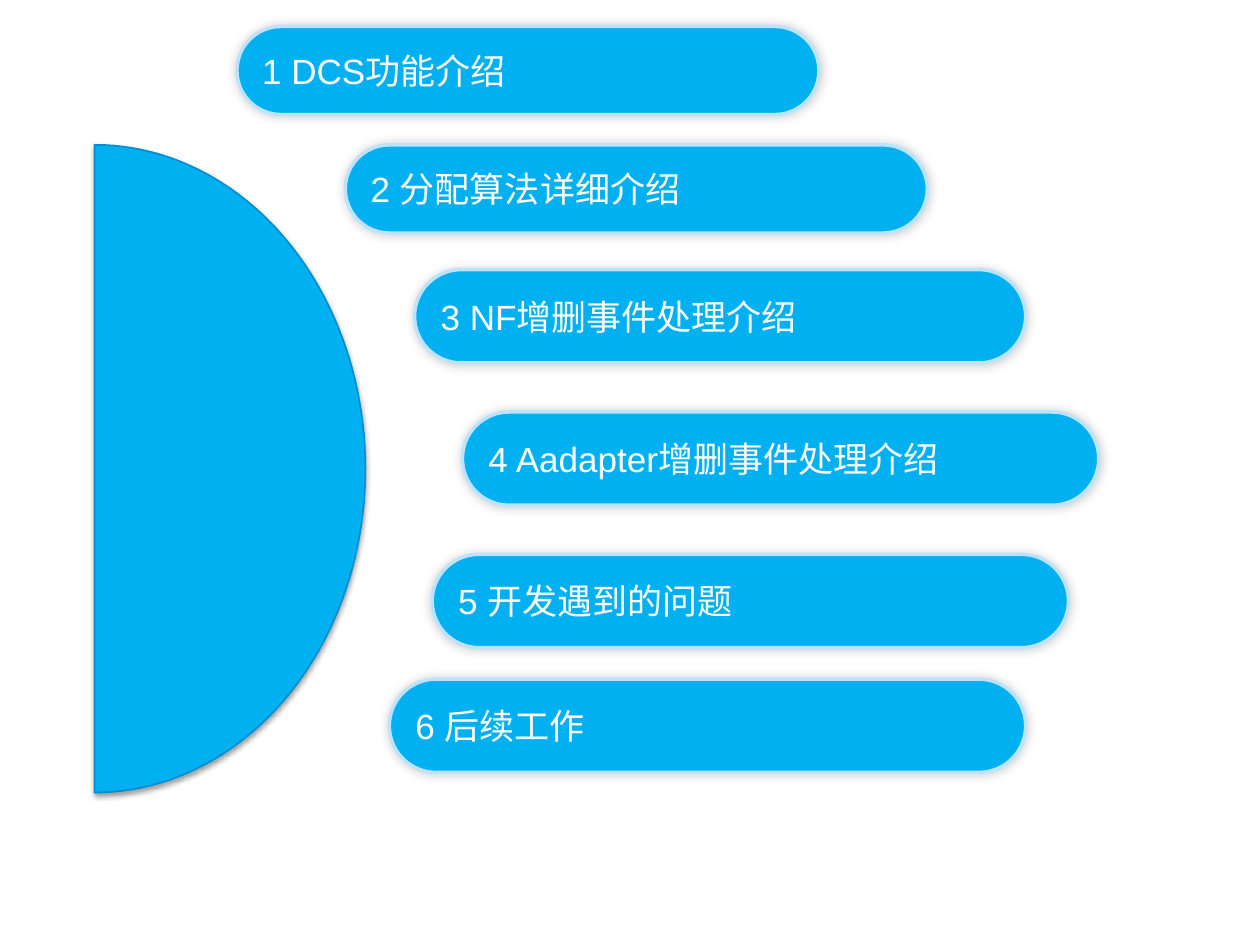
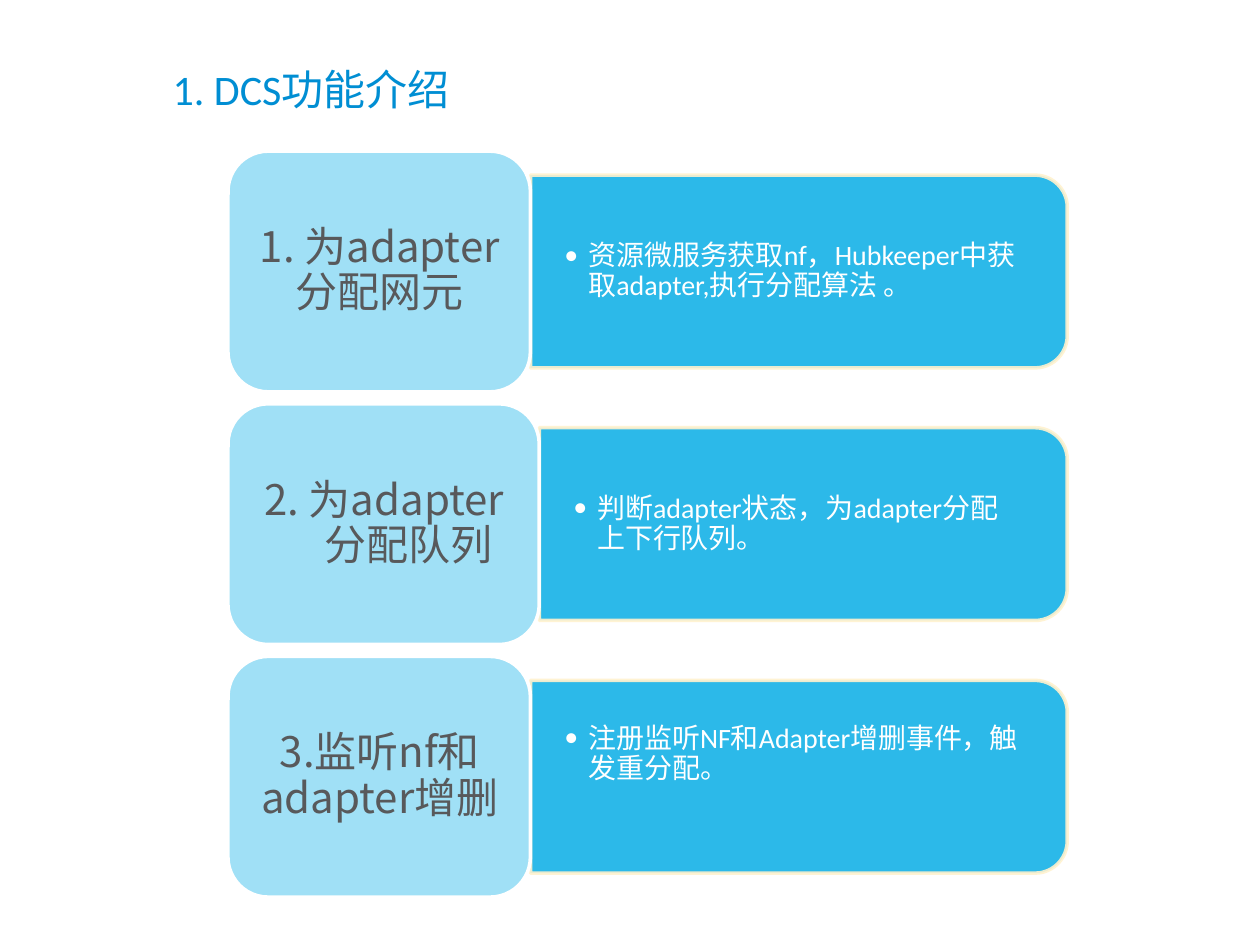
import math

import lxml.etree
import pptx
import pptx.dml.color
import pptx.enum.shapes
import pptx.enum.text
import pptx.oxml.ns
import pptx.util

SKY, PALE_EDGE, DEEP = "00B0F0", "BDE3FF", "008ED3"
PANEL, CREAM, TILE = "16B2E7", "FFF2CF", "A0E0F6"
WHITE, GREY = "FFFFFF", "58595B"
CJK_FONT = "Noto Sans CJK SC"

colour = pptx.dml.color.RGBColor.from_string
qualified = pptx.oxml.ns.qn
presets = pptx.enum.shapes.MSO_SHAPE
aligns = pptx.enum.text.PP_ALIGN
anchors = pptx.enum.text.MSO_ANCHOR


def decorate(shape, fill, edge, width, opacity=100, shadow=None):
    shape.fill.solid()
    shape.fill.fore_color.rgb = colour(fill)
    shape.line.color.rgb = colour(edge)
    shape.line.width = pptx.util.Pt(width)
    shape.shadow.inherit = False
    properties = shape._element.spPr
    if opacity < 100:
        for tint in properties.iter(qualified("a:srgbClr")):
            lxml.etree.SubElement(tint, qualified("a:alpha"), val=str(opacity * 1000))
    if shadow:
        strength, blur, distance, angle = shadow
        outer = lxml.etree.SubElement(
            properties.find(qualified("a:effectLst")), qualified("a:outerShdw"),
            blurRad=str(pptx.util.Pt(blur)), dist=str(pptx.util.Pt(distance)),
            dir=str(angle * 60000), algn="ctr", rotWithShape="0")
        tint = lxml.etree.SubElement(outer, qualified("a:srgbClr"), val="000000")
        lxml.etree.SubElement(tint, qualified("a:alpha"), val=str(strength * 1000))


def write(box, lines, ink, font_format, para_format, frame_format):
    frame = box.text_frame
    for name, value in frame_format.items():
        setattr(frame, name, value)
    for index, line in enumerate(lines):
        para = frame.paragraphs[0] if index == 0 else frame.add_paragraph()
        for name, value in para_format.items():
            setattr(para, name, value)
        span = para.add_run()
        span.text = line
        for name, value in font_format.items():
            setattr(span.font, name, value)
        span.font.color.rgb = colour(ink)
        lxml.etree.SubElement(span._r.get_or_add_rPr(), qualified("a:ea"), typeface=CJK_FONT)


deck = pptx.Presentation()
deck.slide_width = pptx.util.Inches(10)
deck.slide_height = pptx.util.Inches(7.5)
cell = deck.slide_width / 100

agenda_page, function_page = [deck.slides.add_slide(deck.slide_layouts[6]) for _ in range(2)]

agenda = [
    ("1 DCS功能介绍", 18.8, 2.1, 46.2, 7),
    ("2 分配算法详细介绍", 27.4, 11.5, 46.2, 7),
    ("3 NF增删事件处理介绍", 32.9, 21.4, 48.5, 7.4),
    ("4 Aadapter增删事件处理介绍", 36.7, 32.7, 50.5, 7.4),
    ("5 开发遇到的问题", 34.3, 44, 50.5, 7.4),
    ("6 后续工作", 30.9, 53.9, 50.5, 7.4),
]
agenda_font = {"name": "Arial", "size": pptx.util.Pt(20)}
agenda_frame = {"word_wrap": False, "vertical_anchor": anchors.MIDDLE}
for label, *sides in agenda:
    pill = agenda_page.shapes.add_shape(
        presets.ROUNDED_RECTANGLE, *[round(cell * side) for side in sides])
    pill.adjustments[0] = 0.5
    decorate(pill, SKY, PALE_EDGE, 2, shadow=(20, 6, 0, 225))
    write(pill, [label], WHITE, agenda_font, {"alignment": aligns.LEFT}, agenda_frame)

flat_side, centre, reach, half_height = 7.5, 37.2, 21.5, 25.7
arc = []
for degrees in range(-90, 91, 2):
    turn = math.radians(degrees)
    arc.append((round(cell * (flat_side + reach * math.cos(turn))),
                round(cell * (centre + half_height * math.sin(turn)))))
builder = agenda_page.shapes.build_freeform(*arc[0])
builder.add_line_segments(arc[1:], close=True)
decorate(builder.convert_to_shape(), SKY, DEEP, 1, shadow=(38, 3.1, 1.6, 90))

title = function_page.shapes.add_textbox(
    *[round(cell * side) for side in (13.7, 5, 83, 10.5)])
no_margins = dict.fromkeys(["margin_left", "margin_top", "margin_right", "margin_bottom"], 0)
write(title, ["1. DCS功能介绍"], DEEP, {"name": "Calibri", "size": pptx.util.Pt(24)},
      {}, {"word_wrap": True, **no_margins})

functions = [
    (["1. 为adapter分配网元"], "资源微服务获取nf，Hubkeeper中获取adapter,执行分配算法 。", 24, 1.4),
    (["2. 为adapter", "分配队列"], "判断adapter状态，为adapter分配上下行队列。", 24.7, 1.4),
    (["3.监听nf和adapter增删"], "注册监听NF和Adapter增删事件，触发重分配。", 24, 5),
]
tile_left, first_top, pitch, tile_height = 18.1, 12, 20.05, 19.1
panel_right, panel_height = 84.7, 15.3
detail_font = {"name": "Calibri", "size": pptx.util.Pt(16)}
detail_para = {"level": 1, "line_spacing": 0.9, "space_after": pptx.util.Pt(2.4)}
heading_font = {"name": CJK_FONT, "size": pptx.util.Pt(24)}
heading_para = {"alignment": aligns.CENTER, "line_spacing": 0.9}
heading_frame = {"word_wrap": True, "vertical_anchor": anchors.MIDDLE}

for row, (heading, detail, tile_width, bottom_margin) in enumerate(functions):
    top = first_top + row * pitch
    middle = top + tile_height / 2
    split = tile_left + tile_width
    panel_width = panel_right - split
    panel_centre = split + panel_width / 2
    frames = [
        (panel_centre - panel_height / 2, middle - panel_width / 2, panel_height, panel_width),
        (split, middle - 6.9, panel_width - 0.7, 13.8),
        (tile_left, top, tile_width, tile_height),
        (tile_left + 1, top + 0.95, tile_width - 1.9, tile_height - 1.9),
    ]
    panel_sides, detail_sides, tile_sides, heading_sides = [
        [round(cell * side) for side in sides] for sides in frames]

    panel = function_page.shapes.add_shape(presets.ROUND_2_SAME_RECTANGLE, *panel_sides)
    panel.rotation = 90
    decorate(panel, PANEL, CREAM, 2, opacity=90)

    detail_box = function_page.shapes.add_textbox(*detail_sides)
    detail_frame = {
        "word_wrap": True, "vertical_anchor": anchors.MIDDLE,
        "margin_left": round(cell * 2.7), "margin_right": round(cell * 2.7),
        "margin_top": round(cell * 1.4), "margin_bottom": round(cell * bottom_margin),
    }
    write(detail_box, [detail], WHITE, detail_font, detail_para, detail_frame)
    settings = detail_box.text_frame.paragraphs[0]._p.get_or_add_pPr()
    settings.set("marL", str(round(cell * 1.9)))
    settings.set("indent", str(round(cell * -1.9)))
    lxml.etree.SubElement(settings, qualified("a:buFont"), typeface="Calibri")
    lxml.etree.SubElement(settings, qualified("a:buChar"), char="•")

    tile = function_page.shapes.add_shape(presets.ROUNDED_RECTANGLE, *tile_sides)
    decorate(tile, TILE, WHITE, 2)

    heading_box = function_page.shapes.add_textbox(*heading_sides)
    write(heading_box, heading, GREY, heading_font, heading_para, heading_frame)
    for para in heading_box.text_frame.paragraphs[1:]:
        para._p.get_or_add_pPr().set("marL", str(round(cell * 3.8)))

deck.save("out.pptx")
